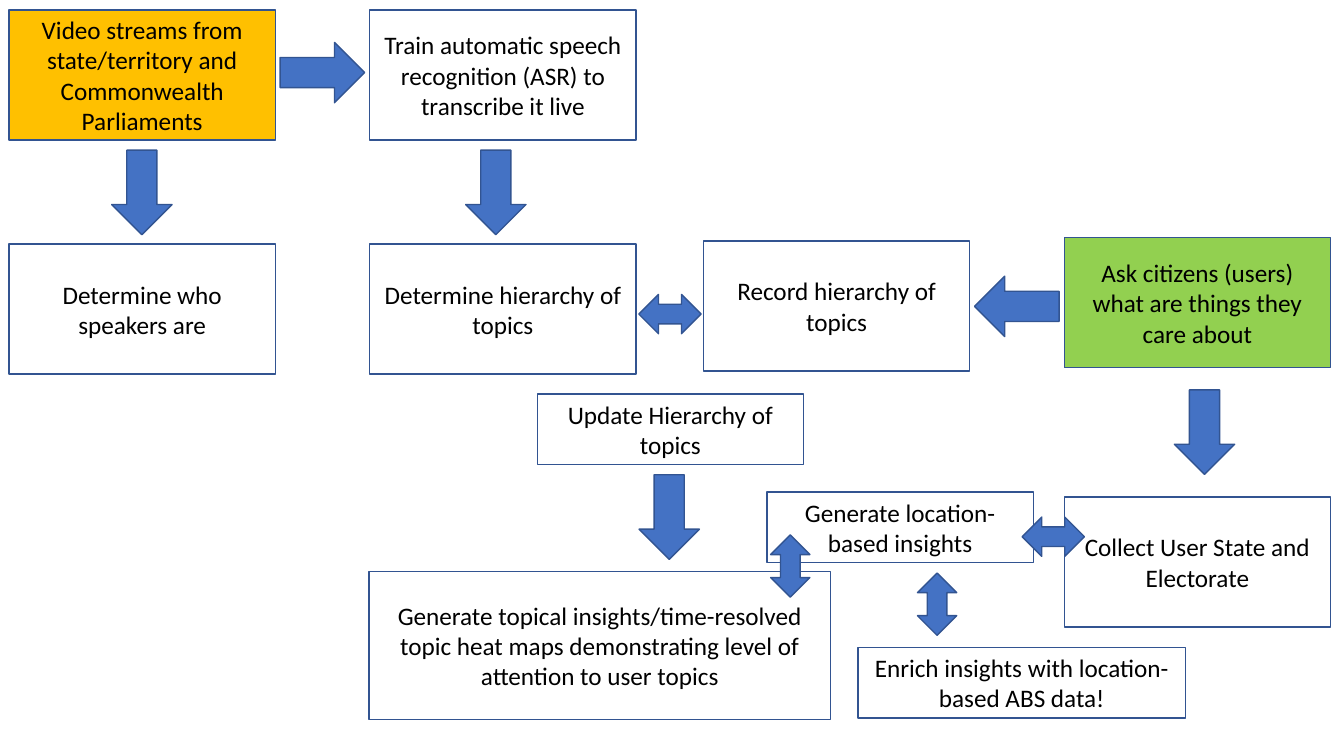
from pptx import Presentation, util as u
from pptx.dml.color import RGBColor
from pptx.enum import shapes, text

COLORS = {"arrow": "4472C4", "line": "325491", "text": "000000",
          "source": "FFC000", "citizens": "92D050"}
SHAPE = shapes.MSO_SHAPE

prs = Presentation()
prs.slide_width, prs.slide_height = u.Cm(33.87), u.Cm(19.05)
s = prs.slides.add_slide(prs.slide_layouts[6])


def add_shape(kind, left, top, width, height, fill=None):
    """Add an outlined preset shape, placed in cm, with an optional fill."""
    sp = s.shapes.add_shape(kind, *map(u.Cm, (left, top, width, height)))
    sp.shadow.inherit = False
    if fill:
        sp.fill.solid()
        sp.fill.fore_color.rgb = RGBColor.from_string(COLORS[fill])
    else:
        sp.fill.background()
    sp.line.color.rgb = RGBColor.from_string(COLORS["line"])
    sp.line.width = u.Pt(1)
    return sp


# Process steps: left, top, width, height, fill, wording
BOX_W, BOX_H, LOW_H = 6.71, 3.28, 1.78
COL_1, COL_2, COL_3, COL_4 = 0.23, 9.32, 17.73, 26.82
ROW_1, ROW_2 = 0.25, 6.15
steps = [
    (COL_1, ROW_1, BOX_W, BOX_H, "source",
     "Video streams from state/territory and Commonwealth Parliaments"),
    (COL_2, ROW_1, BOX_W, BOX_H, None,
     "Train automatic speech recognition (ASR) to transcribe it live"),
    (COL_1, ROW_2, BOX_W, BOX_H, None, "Determine who speakers are"),
    (COL_2, ROW_2, BOX_W, BOX_H, None, "Determine hierarchy of topics"),
    (COL_3, 6.07, BOX_W, BOX_H, None, "Record hierarchy of topics"),
    (COL_4, 5.99, BOX_W, BOX_H, "citizens",
     "Ask citizens (users) what are things they care about"),
    (COL_4, 12.52, BOX_W, BOX_H, None, "Collect User State and Electorate"),
    (13.54, 9.93, BOX_W, LOW_H, None, "Update Hierarchy of topics"),
    (9.3, 14.4, 11.63, 3.73, None,
     "Generate topical insights/time-resolved topic heat maps "
     "demonstrating level of attention to user topics"),
    (19.33, 12.4, BOX_W, LOW_H, None, "Generate location-based insights"),
    (21.62, 16.31, 8.26, LOW_H, None,
     "Enrich insights with location-based ABS data!"),
]
for left, top, width, height, fill, wording in steps:
    tf = add_shape(SHAPE.RECTANGLE, left, top, width, height, fill).text_frame
    tf.word_wrap = True
    tf.vertical_anchor = text.MSO_ANCHOR.MIDDLE
    p = tf.paragraphs[0]
    p.text = wording
    p.alignment = text.PP_ALIGN.CENTER
    p.font.name = "Calibri"
    p.font.size = u.Pt(18)
    p.font.color.rgb = RGBColor.from_string(COLORS["text"])

# Arrows by kind and size: left, top (before turning), rotation
arrows = [
    (SHAPE.RIGHT_ARROW, 2.13, 1.52, [
        (7.06, 1.07, 0), (2.51, 4.09, 90), (11.43, 4.09, 90),
        (24.56, 6.96, 180), (29.29, 10.13, 90), (15.8, 12.27, 90)]),
    (SHAPE.LEFT_RIGHT_ARROW, 1.57, 0.99, [
        (16.1, 7.42, 0), (25.76, 13.03, 0),
        (19.13, 13.77, 90), (22.83, 14.73, 90)]),
]
for kind, width, height, places in arrows:
    for left, top, rotation in places:
        add_shape(kind, left, top, width, height, "arrow").rotation = rotation

prs.save("out.pptx")
